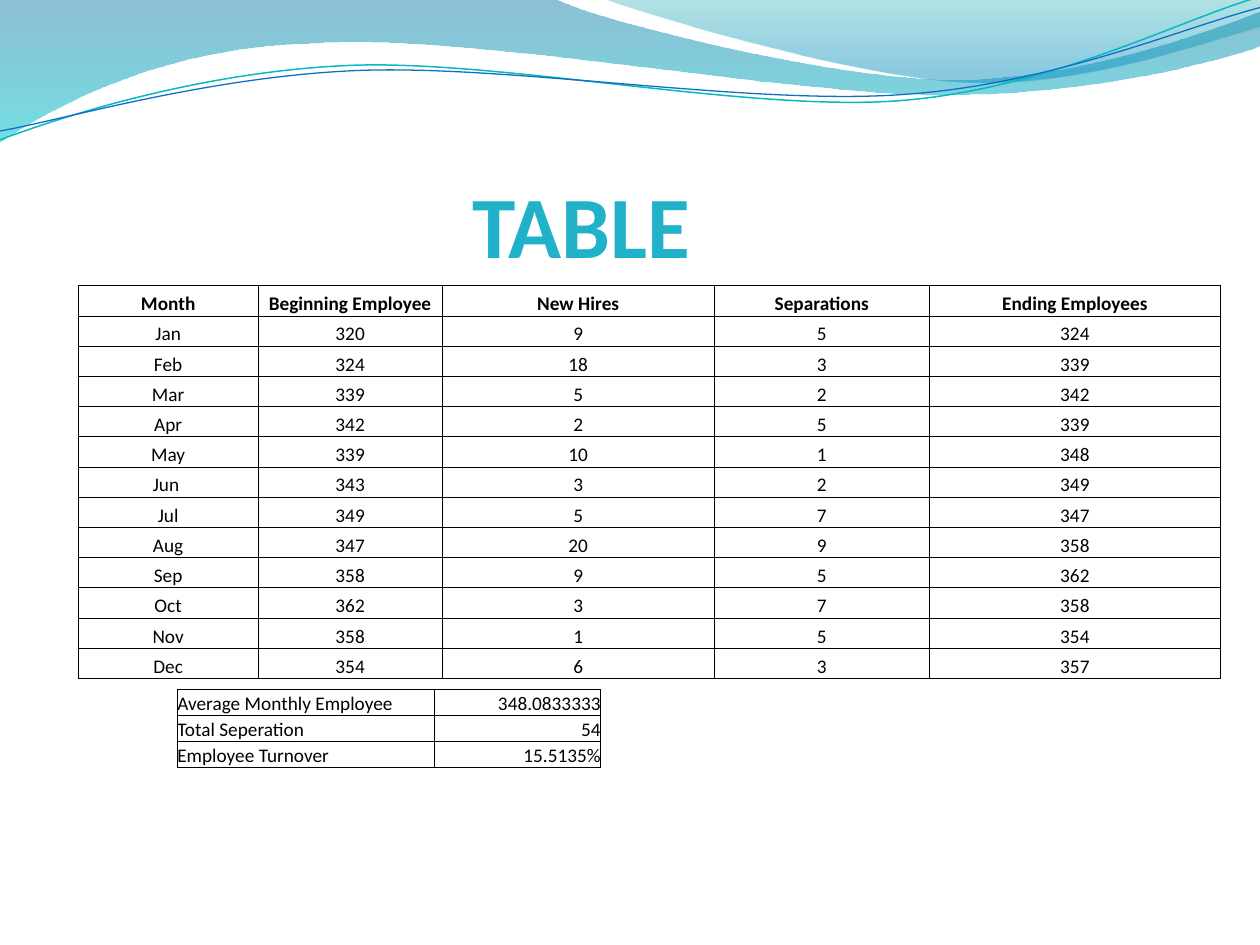
from math import cos, radians, sin
from lxml import etree
from pptx import Presentation
from pptx.dml.color import RGBColor
from pptx.enum import text
from pptx.oxml.ns import qn
from pptx.util import Pt

INK = {"title": "21B2C9", "text": "000000", "teal": "0AB8BF", "blue": "0F6FC6",
       "deep": "0074A1", "aqua": "00C6CF", "sea": "00A1A9", "sky": "008BBF"}
FONT = "Calibri"
MID, LEFT, RIGHT = text.PP_ALIGN.CENTER, text.PP_ALIGN.LEFT, text.PP_ALIGN.RIGHT

BACK = [(0, 0), (316.8, -0.72),
        (342.72, 12.24, 478.08, 45.36, 545.76, 45.36),
        (614.16, 45.36, 689.76, 18.72, 720, 6.48), (720.72, 25.92),
        (707.76, 31.68, 626.4, 54.72, 537.12, 54),
        (447.84, 54, 275.04, 20.16, 185.04, 24.48),
        (92.88, 25.92, 33.12, 59.76, -0.72, 81.36), (0, 0)]
FRONT = [(344.88, -0.72), (366.48, 7.92, 491.04, 44.64, 553.68, 46.8),
         (616.32, 49.68, 691.92, 23.04, 720, 15.12), (720, 0), (344.88, -0.72)]
UPPER = [(0, 79.92), (34.56, 66.96, 113.76, 41.04, 199.44, 37.44),
         (284.4, 33.84, 426.96, 64.08, 513.36, 57.6),
         (599.76, 51.12, 675.36, 10.8, 718.56, -1.44)]
LOWER = [(0, 74.88), (33.84, 69.12, 118.08, 43.92, 203.76, 40.32),
         (290.16, 36.72, 429.84, 60.48, 516.24, 54),
         (601.92, 48.24, 677.52, 15.12, 720, 4.32)]

STAFF = [("Month", "Beginning Employee", "New Hires", "Separations", "Ending Employees"),
         ("Jan", 320, 9, 5, 324), ("Feb", 324, 18, 3, 339),
         ("Mar", 339, 5, 2, 342), ("Apr", 342, 2, 5, 339),
         ("May", 339, 10, 1, 348), ("Jun ", 343, 3, 2, 349),
         ("Jul", 349, 5, 7, 347), ("Aug", 347, 20, 9, 358),
         ("Sep", 358, 9, 5, 362), ("Oct", 362, 3, 7, 358),
         ("Nov", 358, 1, 5, 354), ("Dec", 354, 6, 3, 357)]
TOTALS = [("Average Monthly Employee", "348.0833333"),
          ("Total Seperation", "54"), ("Employee Turnover", "15.5135%")]


def tint(name):
    return RGBColor.from_string(INK[name])


def local(x, y, box, turn):
    left, top, width, height = box
    dx, dy = x - left - width / 2, y - top - height / 2
    a = radians(-turn)
    return (width / 2 + dx * cos(a) - dy * sin(a),
            height / 2 + dx * sin(a) + dy * cos(a))


def draw(slide, curve, box, turn=0, close=False):
    left, top, width, height = box
    pen = slide.shapes.build_freeform(Pt(left), Pt(top))
    pen.add_line_segments([(Pt(left + width), Pt(top + height))], close=close)
    shape = pen.convert_to_shape()
    shape.shadow.inherit = False
    shape.rotation = turn
    track = shape.element.spPr.find(".//" + qn("a:path"))
    for child in list(track):
        track.remove(child)
    for i, part in enumerate(curve):
        kind = "a:cubicBezTo" if len(part) == 6 else "a:lnTo" if i else "a:moveTo"
        move = etree.SubElement(track, qn(kind))
        for x, y in zip(part[::2], part[1::2]):
            px, py = local(x, y, box, turn)
            etree.SubElement(move, qn("a:pt"), x=str(Pt(px)), y=str(Pt(py)))
    if close:
        etree.SubElement(track, qn("a:close"))
    return shape


def add_wave(slide, curve, box, stops):
    shape = draw(slide, curve[:-1], box, close=True)
    shape.line.fill.background()
    shape.fill.gradient()
    shape.fill.gradient_angle = 270
    for stop, (place, name, alpha) in zip(shape.fill.gradient_stops, stops):
        stop.position = place
        stop.color.rgb = tint(name)
    marks = shape.element.spPr.findall(".//" + qn("a:srgbClr"))
    for mark, (place, name, alpha) in zip(marks, stops):
        etree.SubElement(mark, qn("a:alpha"), val=str(alpha * 1000))


def add_line(slide, curve, box, name, width):
    shape = draw(slide, curve, box, turn=357.3)
    shape.fill.background()
    shape.line.color.rgb = tint(name)
    shape.line.width = Pt(width)


def add_header(slide, box):
    left, top = box
    add_wave(slide, BACK, (left - 0.72, top - 0.72, 721.44, 82.08),
             [(0, "deep", 45), (1, "aqua", 55)])
    add_wave(slide, FRONT, (left + 344.88, top - 0.72, 375.12, 50.4),
             [(0, "sea", 30), (0.8, "sky", 45)])
    add_line(slide, UPPER, (left - 1.44, top + 15.84, 721.44, 51.12), "teal", 0.85)
    add_line(slide, LOWER, (left - 1.44, top + 21.6, 722.16, 41.76), "blue", 0.75)


def style(para, size, name, bold, align):
    para.alignment = align
    font = para.font
    font.name, font.size, font.bold = FONT, Pt(size), bold
    font.color.rgb = tint(name)


def add_title(slide, words, box):
    title = slide.shapes.title
    title.element.getparent().append(title.element)
    title.left, title.top, title.width, title.height = map(Pt, box)
    frame = title.text_frame
    frame.text = words
    frame.word_wrap = True
    frame.auto_size = text.MSO_AUTO_SIZE.NONE
    frame.vertical_anchor = text.MSO_ANCHOR.BOTTOM
    frame.margin_left = frame.margin_right = frame.margin_bottom = 0
    frame.margin_top = Pt(3.6)
    style(frame.paragraphs[0], 50, "title", True, LEFT)


def edge(cell):
    props = cell._tc.get_or_add_tcPr()
    for side in ("lnL", "lnR", "lnT", "lnB"):
        line = etree.SubElement(props, qn("a:" + side), w=str(Pt(0.5)))
        fill = etree.SubElement(line, qn("a:solidFill"))
        etree.SubElement(fill, qn("a:srgbClr"), val=INK["text"])


def add_grid(slide, data, box, widths, high, aligns, head):
    left, top = box
    grid = slide.shapes.add_table(len(data), len(widths), Pt(left), Pt(top),
                                  Pt(sum(widths)), Pt(high * len(data))).table
    grid.first_row = head
    grid.horz_banding = False
    for col, width in zip(grid.columns, widths):
        col.width = Pt(width)
    for i, (row, values) in enumerate(zip(grid.rows, data)):
        row.height = Pt(high)
        for cell, value, align in zip(row.cells, values, aligns):
            cell.text = str(value)
            cell.vertical_anchor = text.MSO_ANCHOR.BOTTOM
            cell.margin_left = cell.margin_right = 0
            cell.margin_top = cell.margin_bottom = 0
            edge(cell)
            cell.fill.background()
            style(cell.text_frame.paragraphs[0], 11, "text", head and i == 0, align)


def main():
    deck = Presentation()
    deck.slide_width, deck.slide_height = Pt(720), Pt(540)
    slide = deck.slides.add_slide(deck.slide_layouts[5])
    add_header(slide, (0, 0))
    add_title(slide, "TABLE", (270, 67.5, 648, 90))
    add_grid(slide, STAFF, (44.7, 163.3), (102.8, 105.2, 155.5, 122.9, 166.4),
             17.28, [MID] * 5, True)
    add_grid(slide, TOTALS, (101.3, 394), (147, 95), 14.9, [LEFT, RIGHT], False)
    deck.save("out.pptx")


if __name__ == "__main__":
    main()
